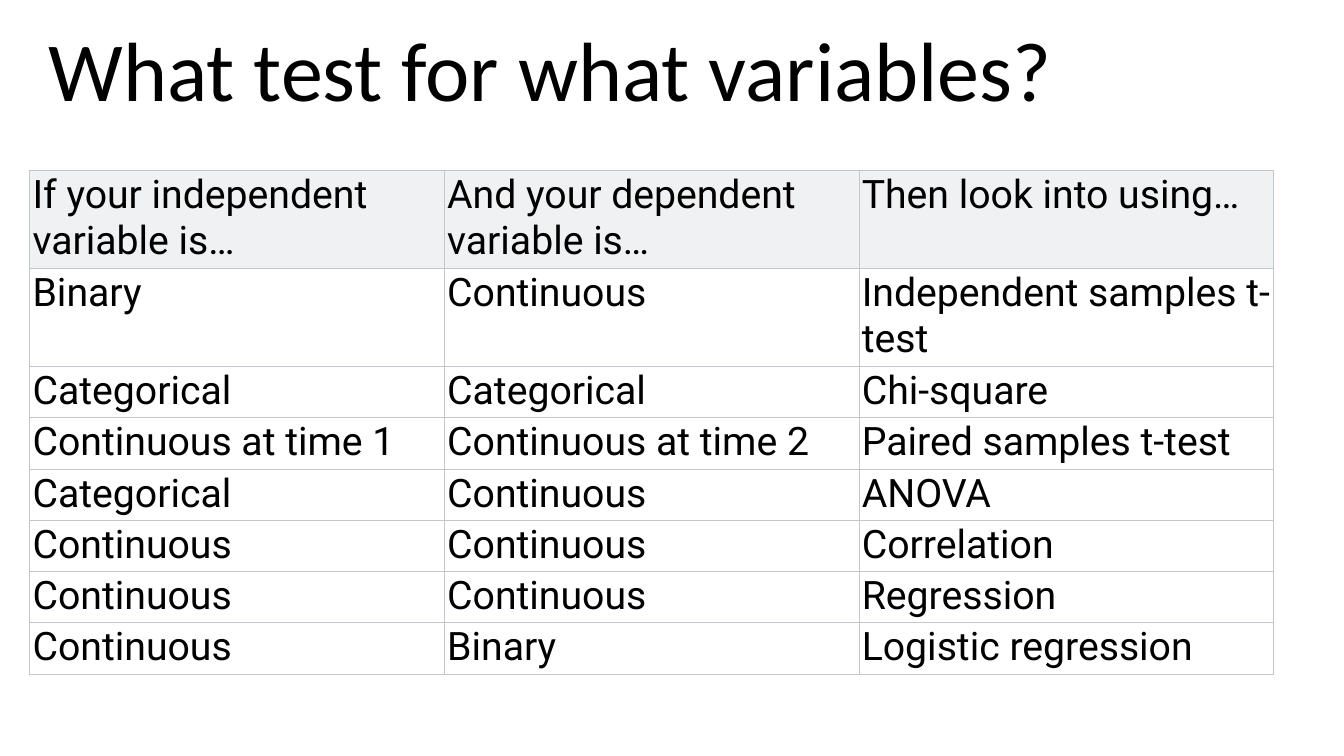
from dataclasses import dataclass

from lxml import etree
from pptx import Presentation
from pptx import util as u
from pptx.dml.color import RGBColor
from pptx.enum import text
from pptx.oxml import ns


@dataclass(frozen=True)
class Theme:
    ink: str = "000000"
    header_fill: str = "F0F1F3"
    rule: str = "C1C7CD"
    rule_width: float = 0.3
    title_font: str = "Calibri"
    title_size: int = 60
    table_font: str = "Roboto"
    table_size: int = 28


def write(frame, words, *, font, size, color, align=text.PP_ALIGN.LEFT):
    paragraph = frame.paragraphs[0]
    paragraph.alignment = align
    run = paragraph.add_run()
    run.text = words
    run.font.name = font
    run.font.size = u.Pt(size)
    run.font.color.rgb = RGBColor.from_string(color)


class SlideBuilder:
    """Places elements by percentages of the slide's width and height."""

    def __init__(self, deck, theme):
        self.deck, self.theme = deck, theme
        self.slide = deck.slides.add_slide(deck.slide_layouts[5])

    def across(self, percent):
        return round(self.deck.slide_width * percent / 100)

    def down(self, percent):
        return round(self.deck.slide_height * percent / 100)

    def box(self, left, top, width, height):
        return self.across(left), self.down(top), self.across(width), self.down(height)

    def title(self, words, area):
        heading = self.slide.shapes.title
        heading.left, heading.top, heading.width, heading.height = self.box(*area)
        frame = heading.text_frame
        frame.word_wrap = True
        frame.auto_size = text.MSO_AUTO_SIZE.SHAPE_TO_FIT_TEXT
        write(frame, words, font=self.theme.title_font,
              size=self.theme.title_size, color=self.theme.ink)

    def table(self, rows, left, top, width, row_heights):
        area = self.box(left, top, width, sum(row_heights))
        table = self.slide.shapes.add_table(len(rows), len(rows[0]), *area).table
        table.horz_banding = False
        for row, height in zip(table.rows, row_heights):
            row.height = self.down(height)
        for r, row in enumerate(rows):
            for c, words in enumerate(row):
                self.cell(table.cell(r, c), words, is_header=r == 0)

    def cell(self, cell, words, is_header):
        cell.margin_left = cell.margin_right = u.Inches(0.03)
        cell.margin_top = cell.margin_bottom = u.Inches(0.02)
        self.borders(cell)
        if is_header:
            cell.fill.solid()
            cell.fill.fore_color.rgb = RGBColor.from_string(self.theme.header_fill)
        else:
            cell.fill.background()
        write(cell.text_frame, words, font=self.theme.table_font,
              size=self.theme.table_size, color=self.theme.ink)

    def borders(self, cell):
        properties = cell._tc.get_or_add_tcPr()
        for side in ("lnL", "lnR", "lnT", "lnB"):
            line = etree.SubElement(properties, ns.qn(f"a:{side}"),
                                    w=str(int(u.Pt(self.theme.rule_width))))
            fill = etree.SubElement(line, ns.qn("a:solidFill"))
            etree.SubElement(fill, ns.qn("a:srgbClr"), val=self.theme.rule)


TESTS = [
    ("If your independent variable is…", "And your dependent variable is…",
     "Then look into using…"),
    ("Binary", "Continuous", "Independent samples t-test"),
    ("Categorical", "Categorical", "Chi-square"),
    ("Continuous at time 1", "Continuous at time 2", "Paired samples t-test"),
    ("Categorical", "Continuous", "ANOVA"),
    ("Continuous", "Continuous", "Correlation"),
    ("Continuous", "Continuous", "Regression"),
    ("Continuous", "Binary", "Logistic regression"),
]
TWO_LINES, ONE_LINE = 12.95, 6.78


def main():
    deck = Presentation()
    deck.slide_width, deck.slide_height = u.Inches(13.33), u.Inches(7.5)
    builder = SlideBuilder(deck, Theme())

    # Heading
    builder.title("What test for what variables?", (2.85, 1.6, 95.72, 14.8))

    # Guide to choosing a test
    heights = [TWO_LINES] * 2 + [ONE_LINE] * (len(TESTS) - 2)
    builder.table(TESTS, left=2.2, top=22.5, width=92.55, row_heights=heights)

    deck.save("out.pptx")


if __name__ == "__main__":
    main()
